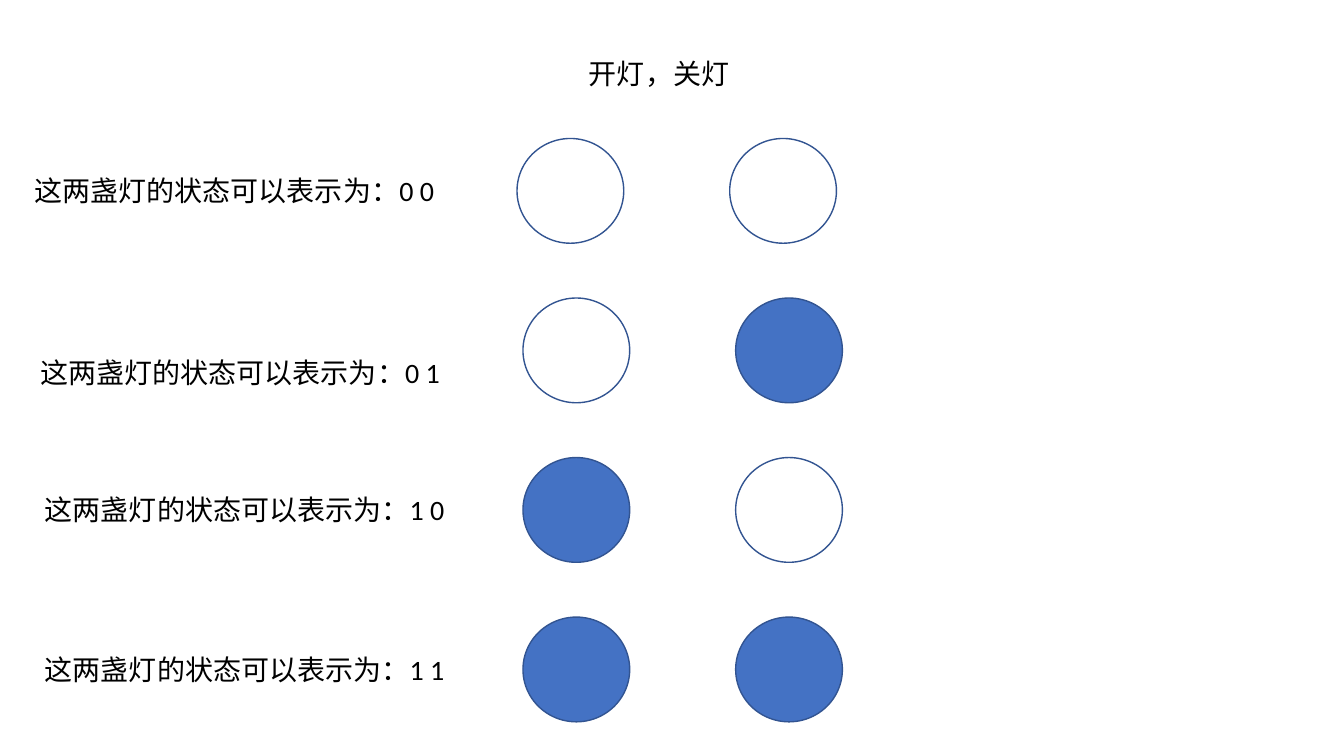
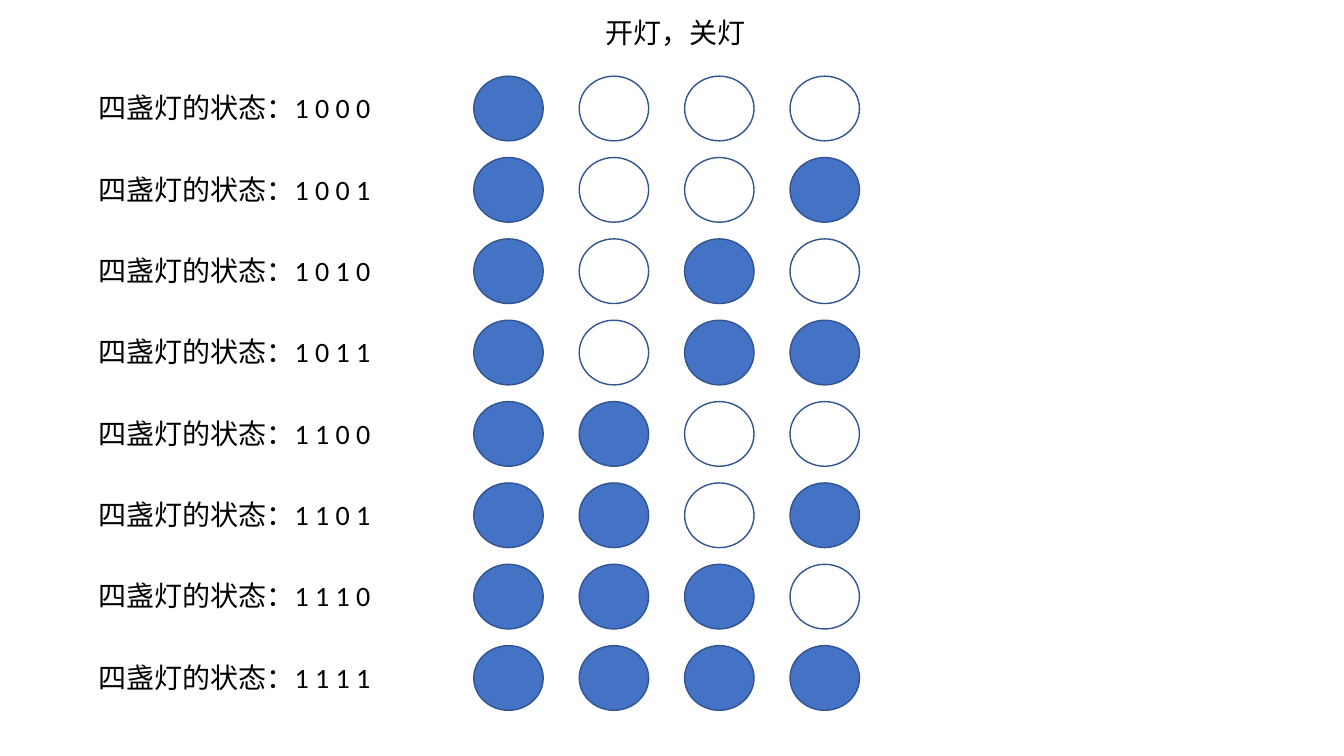
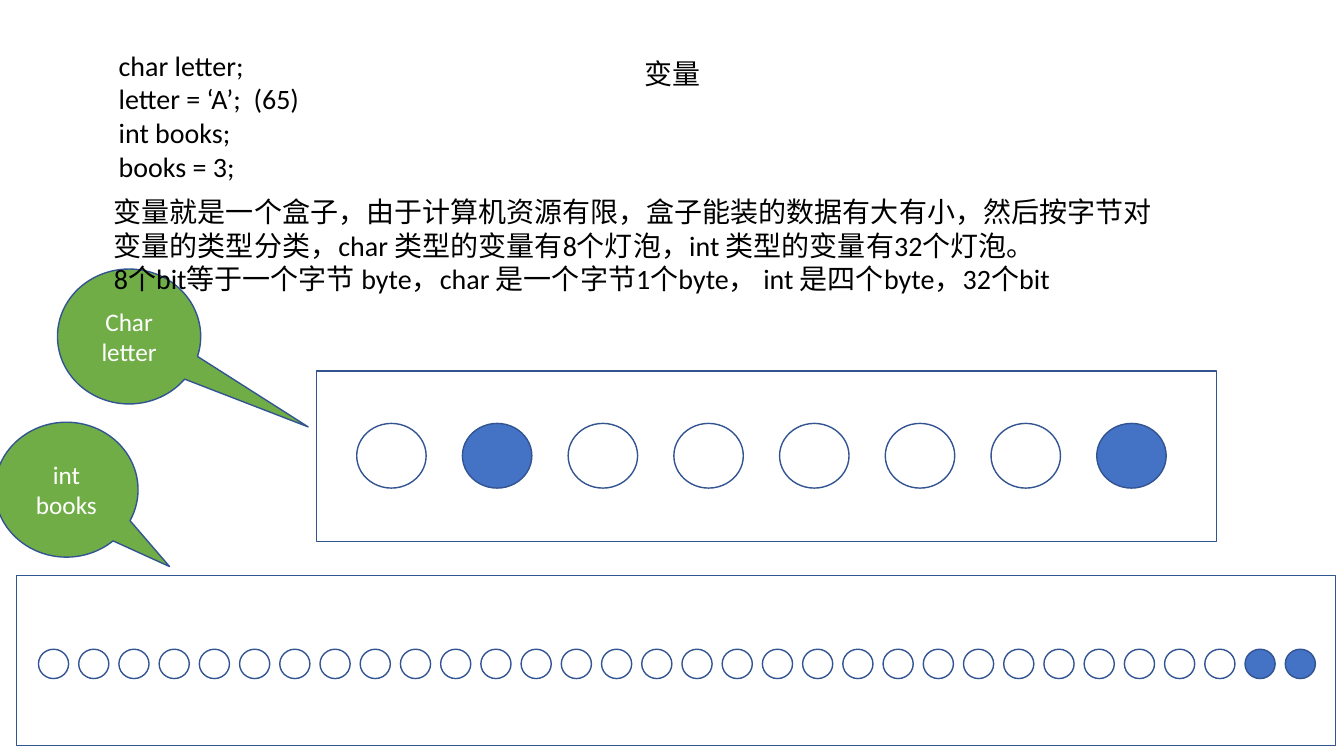
from dataclasses import dataclass

import pptx
import pptx.dml.color
import pptx.enum.shapes
import pptx.enum.text
import pptx.presentation
import pptx.shapes.autoshape
import pptx.slide
import pptx.text.text
import pptx.util

Cm = pptx.util.Cm
Align = pptx.enum.text.PP_ALIGN
Anchor = pptx.enum.text.MSO_ANCHOR
Outline = pptx.enum.shapes.MSO_SHAPE


@dataclass(frozen=True)
class Theme:
    ink: str = "000000"
    paper: str = "FFFFFF"
    lamp_on: str = "4472C4"
    edge: str = "325491"
    callout: str = "70AD47"
    title_font: str = "Arial"
    body_font: str = "Calibri"
    body_size: int = 20
    callout_size: int = 18
    edge_width: int = 1


THEME = Theme()


@dataclass(frozen=True)
class Box:
    """Position and size in centimetres."""
    left: float
    top: float
    width: float
    height: float

    def emu(self) -> tuple[int, int, int, int]:
        return Cm(self.left), Cm(self.top), Cm(self.width), Cm(self.height)


@dataclass(frozen=True)
class LampRow:
    """Lamps for a string of bits, evenly spaced from first_left to last_left."""
    bits: str
    first_left: float
    last_left: float
    top: float
    width: float
    height: float


@dataclass(frozen=True)
class Variable:
    """A named variable: its callout, the tip of the callout, its frame and lamps."""
    name: list[str]
    callout: Box
    tip: tuple[float, float]
    frame: Box
    lamps: LampRow


def color(value: str) -> pptx.dml.color.RGBColor:
    return pptx.dml.color.RGBColor.from_string(value)


def format_text(frame: pptx.text.text.TextFrame, font: str, size: int,
                ink: str, align: Align) -> None:
    for paragraph in frame.paragraphs:
        paragraph.alignment = align
        for run in paragraph.runs:
            run.font.name = font
            run.font.size = pptx.util.Pt(size)
            run.font.color.rgb = color(ink)


def add_titled_slide(deck: pptx.presentation.Presentation, text: str,
                     left: float, top: float) -> pptx.slide.Slide:
    slide = deck.slides.add_slide(deck.slide_layouts[5])
    title = slide.shapes.title
    title.left, title.top, title.width, title.height = Box(left, top, 22.86, 1.14).emu()
    frame = title.text_frame
    frame.text = text
    frame.auto_size = pptx.enum.text.MSO_AUTO_SIZE.NONE
    frame.vertical_anchor = Anchor.BOTTOM
    frame.paragraphs[0].line_spacing = 0.9
    format_text(frame, THEME.title_font, THEME.body_size, THEME.ink, Align.CENTER)
    return slide


def add_text(slide: pptx.slide.Slide, lines: list[str], box: Box,
             align: Align = Align.LEFT) -> None:
    frame = slide.shapes.add_textbox(*box.emu()).text_frame
    frame.word_wrap = True
    frame.text = "\n".join(lines)
    format_text(frame, THEME.body_font, THEME.body_size, THEME.ink, align)


def add_outlined(slide: pptx.slide.Slide, outline: Outline, box: Box,
                 fill: str | None = None) -> pptx.shapes.autoshape.Shape:
    shape = slide.shapes.add_shape(outline, *box.emu())
    shape.shadow.inherit = False
    if fill is None:
        shape.fill.background()
    else:
        shape.fill.solid()
        shape.fill.fore_color.rgb = color(fill)
    shape.line.color.rgb = color(THEME.edge)
    shape.line.width = pptx.util.Pt(THEME.edge_width)
    return shape


def add_lamps(slide: pptx.slide.Slide, row: LampRow) -> None:
    pitch = (row.last_left - row.first_left) / (len(row.bits) - 1)
    for place, bit in enumerate(row.bits):
        lamp = Box(row.first_left + place * pitch, row.top, row.width, row.height)
        add_outlined(slide, Outline.OVAL, lamp,
                     THEME.lamp_on if bit == "1" else THEME.paper)


def add_state(slide: pptx.slide.Slide, caption: str, left: float, top: float,
              lamps: LampRow) -> None:
    """Caption with the bits spelled out, next to the lamps that show them."""
    add_text(slide, [caption + " ".join(lamps.bits)], Box(left, top, 12.83, 1.12),
             Align.CENTER)
    add_lamps(slide, lamps)


def add_variable(slide: pptx.slide.Slide, variable: Variable) -> None:
    add_lamps(slide, variable.lamps)
    add_outlined(slide, Outline.RECTANGLE, variable.frame)
    callout = add_outlined(slide, Outline.OVAL_CALLOUT, variable.callout, THEME.callout)
    callout.adjustments[0], callout.adjustments[1] = variable.tip
    callout.text_frame.text = "\n".join(variable.name)
    callout.text_frame.vertical_anchor = Anchor.MIDDLE
    format_text(callout.text_frame, THEME.body_font, THEME.callout_size,
                THEME.paper, Align.CENTER)


def build_two_lamps(deck: pptx.presentation.Presentation) -> None:
    slide = add_titled_slide(deck, "开灯，关灯", 5.18, 1.27)
    # caption left, caption top, first lamp left
    places = [(-0.51, 4.24, 13.03), (-0.36, 8.84, 13.18),
              (-0.25, 12.29, 13.18), (-0.25, 16.31, 13.18)]
    for state, (left, top, lamp_left) in enumerate(places):
        lamps = LampRow(f"{state:02b}", lamp_left, lamp_left + 5.36,
                        3.49 + 4.02 * state, 2.69, 2.64)
        add_state(slide, "这两盏灯的状态可以表示为：", left, top, lamps)


def build_four_lamps(deck: pptx.presentation.Presentation) -> None:
    slide = add_titled_slide(deck, "开灯，关灯", 5.59, 0.23)
    for row, state in enumerate(range(8, 16)):
        top = 1.92 + 2.05 * row
        lamps = LampRow(f"{state:04b}", 11.94, 19.91, top, 1.75, 1.63)
        add_state(slide, "四盏灯的状态：", -0.51, top + 0.24, lamps)


def build_variables(deck: pptx.presentation.Presentation) -> None:
    slide = add_titled_slide(deck, "变量", 5.51, 1.27)
    add_text(slide, ["char letter;", "letter = ‘A’;  (65)", "int books;", "books = 3;"],
             Box(2.74, 1.09, 8.56, 3.68))
    variables = [
        Variable(["Char", "letter"], Box(1.45, 6.78, 3.61, 3.4), (1.25, 0.67),
                 Box(7.98, 9.35, 22.68, 4.29),
                 LampRow(f"{65:08b}", 8.99, 27.64, 10.67, 1.75, 1.63)),
        Variable(["int", "books"], Box(-0.13, 10.64, 3.61, 3.4), (0.72, 0.57),
                 Box(0.41, 14.5, 33.25, 4.29),
                 LampRow(f"{3:032b}", 0.97, 32.39, 16.36, 0.76, 0.74)),
    ]
    for variable in variables:
        add_variable(slide, variable)
    add_text(slide, [
        "变量就是一个盒子，由于计算机资源有限，盒子能装的数据有大有小，然后按字节对"
        "变量的类型分类，char 类型的变量有8个灯泡，int 类型的变量有32个灯泡。",
        "8个bit等于一个字节 byte，char 是一个字节1个byte， int 是四个byte，32个bit",
    ], Box(2.62, 4.78, 27.33, 3.68))


def main() -> None:
    deck = pptx.Presentation()
    deck.slide_width, deck.slide_height = Cm(33.87), Cm(19.05)
    build_two_lamps(deck)
    build_four_lamps(deck)
    build_variables(deck)
    deck.save("out.pptx")


if __name__ == "__main__":
    main()
